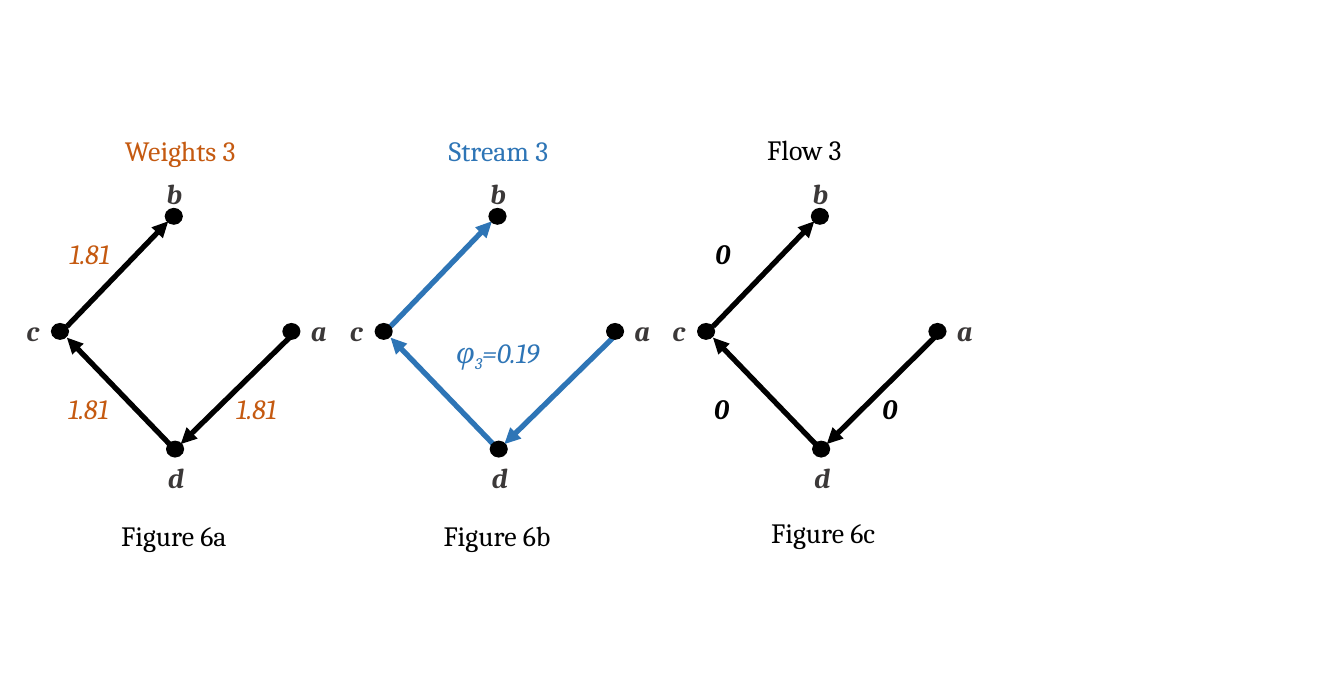
import dataclasses

import lxml.etree
import pptx
import pptx.dml.color
import pptx.enum.shapes
import pptx.enum.text
import pptx.oxml.ns
import pptx.util

Inches = pptx.util.Inches


@dataclasses.dataclass(frozen=True)
class Theme:
    font: str = "Cambria"
    text_size: float = 15.9
    edge_width: float = 3
    node_line_width: float = 1
    black: str = "000000"
    node_label: str = "3B3838"
    orange: str = "C55A11"
    blue: str = "2E75B6"


@dataclasses.dataclass(frozen=True)
class Panel:
    left: float
    title: str
    title_box: tuple
    caption: str
    caption_box: tuple
    title_color: str
    edge_color: str
    weight: str = ""
    weight_width: float = 0
    weight_color: str = ""
    weight_bold: bool = False
    first_edge_start: tuple = (2.35, 2.61)


THEME = Theme()
TEXT_HEIGHT = 0.37
NODE_SIZE = (0.13, 0.12)
NODES = [(1.31, 1.65), (2.24, 2.56), (1.32, 3.49), (0.41, 2.56)]
NODE_LABELS = [
    ("d", 1.23, 3.59, 0.31, True),
    ("a", 2.36, 2.43, 0.33, False),
    ("b", 1.22, 1.35, 0.3, True),
    ("c", 0.11, 2.43, 0.3, False),
]
FIRST_EDGE_END = (1.43, 3.51)
OTHER_EDGES = [((1.34, 3.51), (0.53, 2.67)), ((0.53, 2.58), (1.33, 1.75))]
WEIGHT_PLACES = [(0.44, 3.05), (1.77, 3.05), (0.45, 1.82)]
PANELS = [
    Panel(0, "Weights 3", (0.89, 1.01, 1.17), "Figure 6a", (0.86, 4.05, 1.13),
          THEME.orange, THEME.black, "1.81", 0.59, THEME.orange),
    Panel(2.56, "Stream 3", (3.45, 1.01, 1.06), "Figure 6b", (3.41, 4.05, 1.14),
          THEME.blue, THEME.blue),
    Panel(5.11, "Flow 3", (5.97, 1, 0.87), "Figure 6c", (6, 4.03, 1.11),
          THEME.black, THEME.black, "0", 0.31, THEME.black, True, (2.31, 2.64)),
]


def rgb(color):
    return pptx.dml.color.RGBColor.from_string(color)


def add_run(paragraph, text, color, bold=False, italic=False, baseline=0):
    run = paragraph.add_run()
    run.text = text
    run.font.name = THEME.font
    run.font.size = pptx.util.Pt(THEME.text_size)
    run.font.color.rgb = rgb(color)
    run.font.bold = bold
    run.font.italic = italic
    if baseline:
        run._r.get_or_add_rPr().set("baseline", str(baseline * 1000))


def add_text_box(slide, left, top, width, wrap=False):
    shape = slide.shapes.add_textbox(
        Inches(left), Inches(top), Inches(width), Inches(TEXT_HEIGHT))
    frame = shape.text_frame
    frame.word_wrap = wrap
    frame.auto_size = pptx.enum.text.MSO_AUTO_SIZE.SHAPE_TO_FIT_TEXT
    return frame.paragraphs[0]


def add_edge(slide, left, start, end, color):
    connector = slide.shapes.add_connector(
        pptx.enum.shapes.MSO_CONNECTOR.STRAIGHT,
        Inches(left + start[0]), Inches(start[1]),
        Inches(left + end[0]), Inches(end[1]))
    connector.line.color.rgb = rgb(color)
    connector.line.width = pptx.util.Pt(THEME.edge_width)
    qualified = pptx.oxml.ns.qn
    line = connector.line._get_or_add_ln()
    lxml.etree.SubElement(line, qualified("a:tailEnd"), type="triangle")
    lxml.etree.SubElement(connector._element.spPr, qualified("a:effectLst"))


def add_node(slide, left, top):
    width, height = NODE_SIZE
    shape = slide.shapes.add_shape(
        pptx.enum.shapes.MSO_SHAPE.OVAL,
        Inches(left), Inches(top), Inches(width), Inches(height))
    shape.shadow.inherit = False
    shape.fill.solid()
    shape.fill.fore_color.rgb = rgb(THEME.black)
    shape.line.color.rgb = rgb(THEME.black)
    shape.line.width = pptx.util.Pt(THEME.node_line_width)


def add_panel(slide, panel):
    for text, left, top, width, wrap in NODE_LABELS:
        paragraph = add_text_box(slide, panel.left + left, top, width, wrap)
        add_run(paragraph, text, THEME.node_label, bold=True, italic=True)
    for start, end in [(panel.first_edge_start, FIRST_EDGE_END), *OTHER_EDGES]:
        add_edge(slide, panel.left, start, end, panel.edge_color)
    if panel.weight:
        for left, top in WEIGHT_PLACES:
            paragraph = add_text_box(
                slide, panel.left + left, top, panel.weight_width)
            add_run(paragraph, panel.weight, panel.weight_color,
                    bold=panel.weight_bold, italic=True)
    for left, top in NODES:
        add_node(slide, panel.left + left, top)
    add_run(add_text_box(slide, *panel.title_box), panel.title, panel.title_color)
    add_run(add_text_box(slide, *panel.caption_box), panel.caption, THEME.black)


def add_stream_value(slide):
    paragraph = add_text_box(slide, 3.51, 2.6, 0.93)
    for text, baseline in [("φ", 0), ("3", -25), ("=0.19", 0)]:
        add_run(paragraph, text, THEME.blue, italic=True, baseline=baseline)


def main():
    presentation = pptx.Presentation()
    presentation.slide_width = Inches(10.63)
    presentation.slide_height = Inches(5.51)
    slide = presentation.slides.add_slide(presentation.slide_layouts[6])
    for panel in PANELS:
        add_panel(slide, panel)
    add_stream_value(slide)
    presentation.save("out.pptx")


main()
